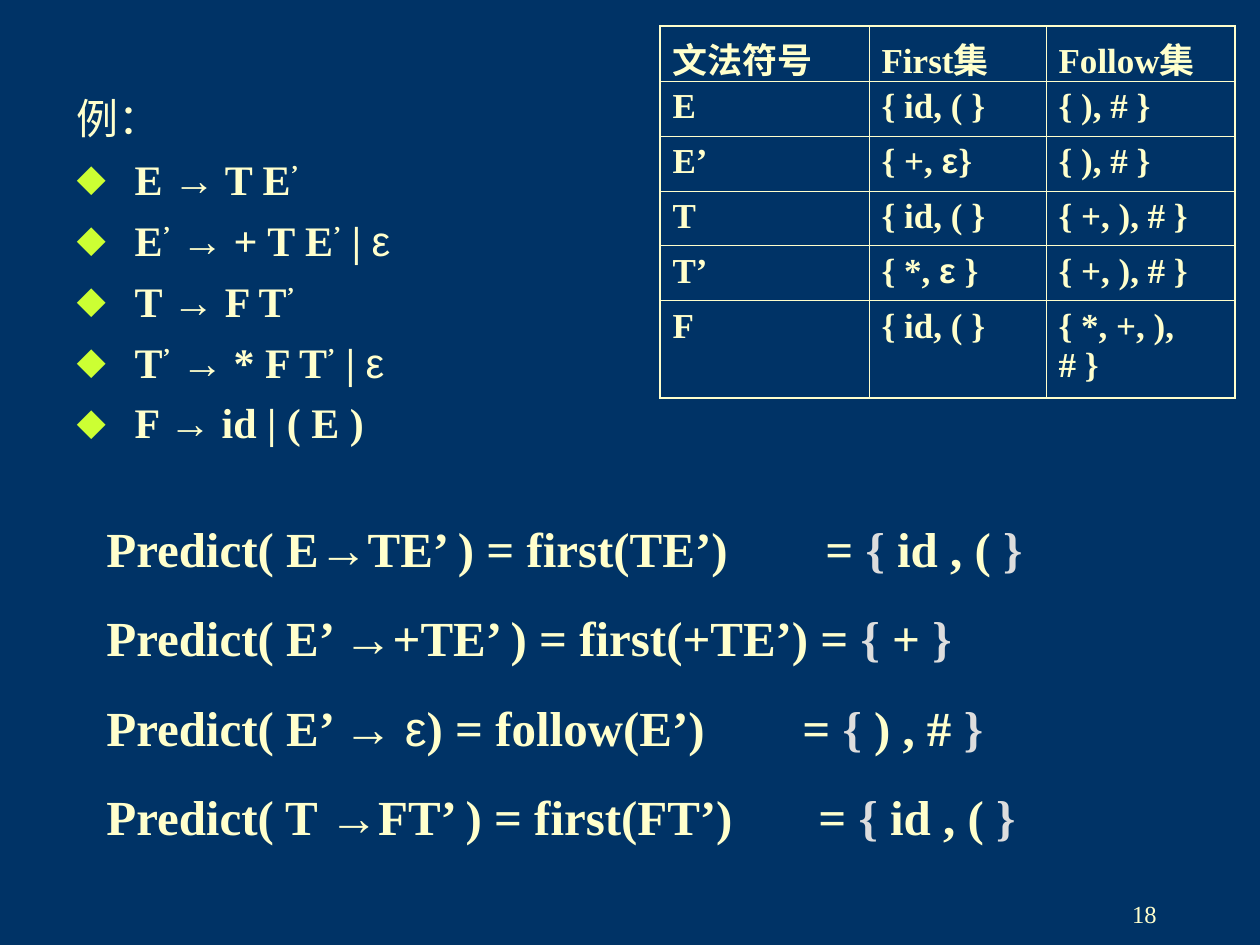
"""Build a slide that derives Predict sets from a grammar and its First and Follow sets."""
import itertools

import lxml.etree
import pptx
import pptx.dml.color
import pptx.enum.text
import pptx.oxml.ns
import pptx.util

NAVY = pptx.dml.color.RGBColor(0x00, 0x33, 0x66)
CREAM = pptx.dml.color.RGBColor(0xFF, 0xFF, 0xCC)
LIME = pptx.dml.color.RGBColor(0xCC, 0xFF, 0x33)
GREY = pptx.dml.color.RGBColor(0xDD, 0xDD, 0xDD)

HEADING = "例："
PRODUCTIONS = ["E → T E’", "E’ → + T E’ | ε", "T → F T’", "T’ → * F T’ | ε", "F → id | ( E )"]
SETS = [
    ("文法符号", "First集", "Follow集"),
    ("E", "{ id, ( }", "{ ), # }"),
    ("E’", "{ +, ε}", "{ ), # }"),
    ("T", "{ id, ( }", "{ +, ), # }"),
    ("T’", "{ *, ε }", "{ +, ), # }"),
    ("F", "{ id, ( }", "{ *, +, ), # }"),
]
PREDICTIONS = [
    ("Predict( E→TE’ ) = first(TE’)\t= { id , ( }", 719),
    ("Predict( E’ →+TE’ ) = first(+TE’) = { + }", None),
    ("Predict( E’ → ε) = follow(E’)\t= { ) , # }", 696),
    ("Predict( T →FT’ ) = first(FT’)\t= { id , ( }", 712),
]
PAGE_NUMBER = "18"

COLUMN_WIDTHS = [209, 177, 189]
ROW_HEIGHTS = [55, 55, 55, 55, 55, 97]
BULLET_INDENT = 58
THICK, THIN = 1.08, 0.45

ARIAL = {"name": "Arial"}
LIGHT_ARIAL = {"name": "Arial", "bold": False}
GRAMMAR_MARKS = {"→": ARIAL, "ε": LIGHT_ARIAL, "’": {"baseline": 30000}}
TABLE_MARKS = {"ε": ARIAL}
PREDICT_MARKS = {"→": ARIAL, "ε": LIGHT_ARIAL, "{": {"color": GREY}, "}": {"color": GREY}}


def px(length):
    return pptx.util.Emu(round(length * 914400 / 126))


def add_element(parent, tag, **attributes):
    return lxml.etree.SubElement(
        parent, pptx.oxml.ns.qn(tag), {key: str(value) for key, value in attributes.items()}
    )


def write(paragraph, text, size, bold=True, marks=None):
    marks = marks or {}
    for style, characters in itertools.groupby(text, key=lambda character: marks.get(character, {})):
        run = paragraph.add_run()
        run.text = "".join(characters)
        values = {"name": "Times New Roman", "bold": bold, "color": CREAM, **style}
        run.font.size = pptx.util.Pt(size)
        run.font.color.rgb = values.pop("color")
        if "baseline" in values:
            run._r.get_or_add_rPr().set("baseline", str(values.pop("baseline")))
        for attribute, value in values.items():
            setattr(run.font, attribute, value)


def next_paragraph(frame, index, space):
    if index == 0:
        paragraph = frame.paragraphs[0]
    else:
        paragraph = frame.add_paragraph()
    paragraph.space_before = pptx.util.Pt(space if index else 0)
    return paragraph


def add_grammar(slide):
    body = slide.placeholders[1]
    body.left, body.top, body.width, body.height = map(px, (64, 86, 407, 397))
    frame = body.text_frame
    frame.auto_size = pptx.enum.text.MSO_AUTO_SIZE.NONE
    for index, text in enumerate([HEADING, *PRODUCTIONS]):
        paragraph = next_paragraph(frame, index, 6)
        properties = paragraph._p.get_or_add_pPr()
        indent = px(BULLET_INDENT) if index else 0
        properties.set("marL", str(indent))
        properties.set("indent", str(-indent))
        if index:
            add_element(add_element(properties, "a:buClr"), "a:srgbClr", val=LIME)
            add_element(properties, "a:buFont", typeface="Arial")
            add_element(properties, "a:buChar", char="⬥")
        else:
            add_element(properties, "a:buNone")
        write(paragraph, text, 24, bold=index > 0, marks=GRAMMAR_MARKS)


def set_borders(cell, row, column):
    edges = {
        "a:lnL": column == 0,
        "a:lnR": column == len(COLUMN_WIDTHS) - 1,
        "a:lnT": row == 0,
        "a:lnB": row == len(ROW_HEIGHTS) - 1,
    }
    properties = cell._tc.get_or_add_tcPr()
    for tag, outer in edges.items():
        line = add_element(properties, tag, w=pptx.util.Pt(THICK if outer else THIN))
        add_element(add_element(line, "a:solidFill"), "a:srgbClr", val=CREAM)


def add_sets(slide):
    frame = slide.shapes.add_table(
        len(ROW_HEIGHTS), len(COLUMN_WIDTHS),
        px(660), px(26), px(sum(COLUMN_WIDTHS)), px(sum(ROW_HEIGHTS)),
    )
    table = frame.table
    table.first_row = table.horz_banding = False
    for column, width in zip(table.columns, COLUMN_WIDTHS):
        column.width = px(width)
    for row, (height, texts) in enumerate(zip(ROW_HEIGHTS, SETS)):
        table.rows[row].height = px(height)
        for column, text in enumerate(texts):
            cell = table.cell(row, column)
            set_borders(cell, row, column)
            cell.fill.background()
            write(cell.text_frame.paragraphs[0], text, 20, marks=TABLE_MARKS)


def add_predictions(slide):
    frame = slide.shapes.add_textbox(px(94), px(512), px(1040), px(340)).text_frame
    frame.word_wrap = True
    for index, (text, tab) in enumerate(PREDICTIONS):
        paragraph = next_paragraph(frame, index, 17.5)
        if tab:
            tabs = add_element(paragraph._p.get_or_add_pPr(), "a:tabLst")
            add_element(tabs, "a:tab", pos=px(tab), algn="l")
        write(paragraph, text, 28, marks=PREDICT_MARKS)


def add_page_number(slide):
    frame = slide.shapes.add_textbox(px(907), px(882), px(262), px(63)).text_frame
    frame.word_wrap = True
    frame.vertical_anchor = pptx.enum.text.MSO_ANCHOR.MIDDLE
    paragraph = frame.paragraphs[0]
    paragraph.alignment = pptx.enum.text.PP_ALIGN.RIGHT
    write(paragraph, PAGE_NUMBER, 14, bold=False)


def main():
    presentation = pptx.Presentation()
    presentation.slide_width, presentation.slide_height = px(1260), px(945)
    slide = presentation.slides.add_slide(presentation.slide_layouts[1])
    slide.background.fill.solid()
    slide.background.fill.fore_color.rgb = NAVY
    title = slide.shapes.title._element
    title.getparent().remove(title)
    add_page_number(slide)
    add_grammar(slide)
    add_sets(slide)
    add_predictions(slide)
    presentation.save("out.pptx")


if __name__ == "__main__":
    main()
